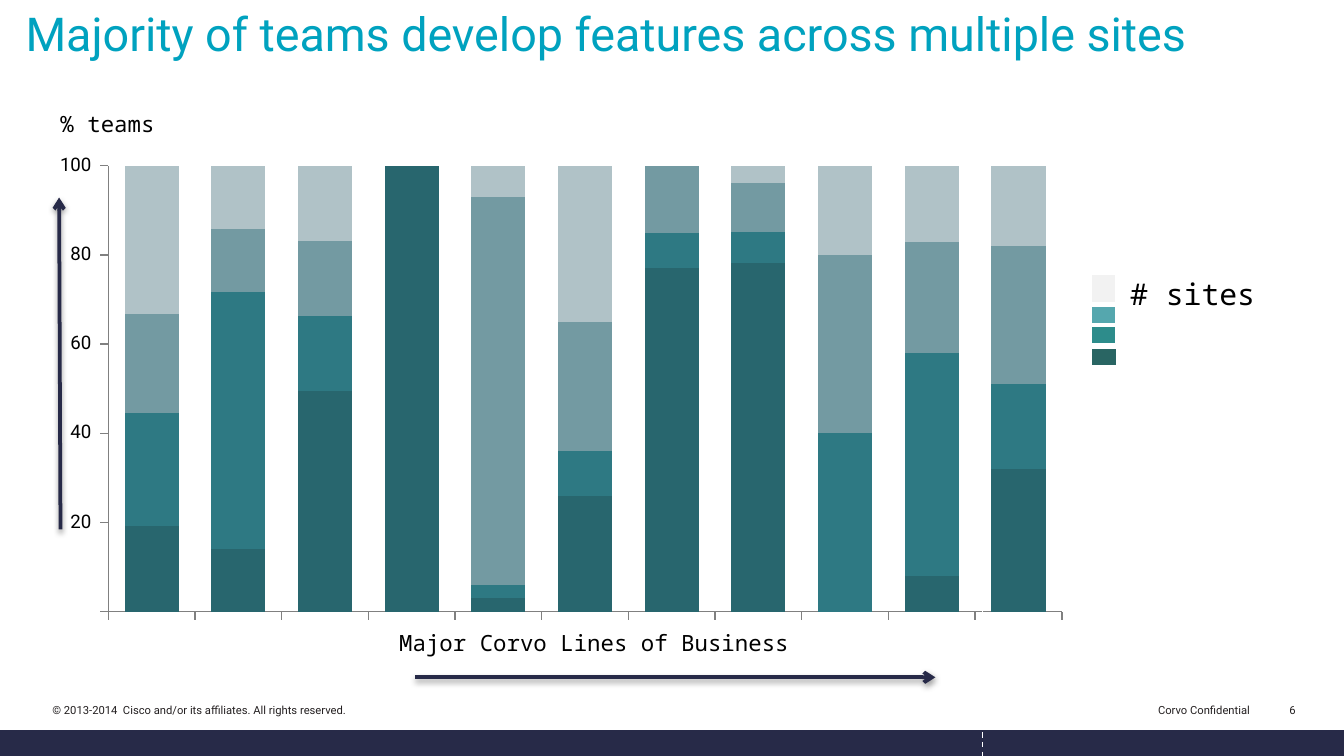
from collections import namedtuple
from dataclasses import dataclass

from lxml.etree import SubElement as Sub
from pptx import Presentation
from pptx.chart.data import CategoryChartData as Data
from pptx.dml.color import RGBColor as RGB
from pptx.enum.chart import XL_CHART_TYPE as Kind, XL_TICK_LABEL_POSITION as Pos
from pptx.enum.chart import XL_TICK_MARK as Tick
from pptx.enum.dml import MSO_LINE as Dash
from pptx.enum.shapes import MSO_CONNECTOR as Conn, MSO_SHAPE as Form
from pptx.enum.text import MSO_ANCHOR as Anchor, MSO_AUTO_SIZE as Fit, PP_ALIGN as Align
from pptx.oxml.ns import qn
from pptx.util import Inches, Pt

Box = namedtuple("Box", "x y w h")  # in grid cells
COLS, ROWS = 100, 56.25


@dataclass(frozen=True)
class Theme:
    sans: str = "Roboto"
    mono: str = "Noto Sans Mono"
    title: str = "00A2BF"
    ink: str = "000000"
    small: str = "231F20"
    navy: str = "272A48"
    white: str = "FFFFFF"
    axis: str = "808080"
    bars: tuple = ("28666E", "2E7983", "739AA2", "B0C2C7")
    head_pt: int = 25
    key_pt: int = 16
    label_pt: int = 12
    tick_pt: int = 10
    foot_pt: int = 6


T = Theme()
SITES = (
    (19, 14, 50, 100, 3, 26, 77, 79, 0, 8, 32),
    (25, 57, 17, 0, 3, 10, 8, 7, 40, 50, 19),
    (22, 14, 17, 0, 86, 29, 15, 11, 40, 25, 31),
    (33, 14, 17, 0, 7, 35, 0, 4, 20, 17, 18),
)


def cell(n):
    """Length of n grid cells."""
    return Inches(n * 10 / COLS)


def inner(box, x, y, w, h):
    """Box at an offset inside another."""
    return Box(box.x + x, box.y + y, w, h)


def write(frame, text, size, color, font=T.sans, align=Align.LEFT,
          anchor=Anchor.TOP, pad=(0, 0), wrap=False):
    frame.word_wrap, frame.auto_size = wrap, Fit.NONE
    frame.vertical_anchor = anchor
    frame.margin_left = frame.margin_right = cell(pad[0])
    frame.margin_top = frame.margin_bottom = cell(pad[1])
    para = frame.paragraphs[0]
    para.alignment = align
    run = para.add_run()
    run.text = text
    run.font.size, run.font.name = Pt(size), font
    run.font.color.rgb = RGB.from_string(color)
    return para


def label(slide, box, *args, **kw):
    shape = slide.shapes.add_textbox(*map(cell, box))
    write(shape.text_frame, *args, **kw)


def rule(slide, start, end, color, width):
    line = slide.shapes.add_connector(Conn.STRAIGHT, *map(cell, start + end))
    line.line.color.rgb = RGB.from_string(color)
    line.line.width = Pt(width)
    Sub(line._element.spPr, qn("a:effectLst"))
    return line


def arrow(slide, start, end):
    """Rule with an arrowhead and a soft shadow below it."""
    line = rule(slide, start, end, T.navy, 2)
    Sub(line.line._get_or_add_ln(), qn("a:tailEnd"), type="arrow")
    glow = line._element.spPr.find(qn("a:effectLst"))
    shade = Sub(glow, qn("a:outerShdw"), blurRad=str(Pt(3.1)), dist=str(Pt(1.6)),
                dir="5400000", rotWithShape="0")
    tint = Sub(shade, qn("a:srgbClr"), val=T.ink)
    Sub(tint, qn("a:alpha"), val="38000")


def heading(slide, box):
    title = slide.shapes.title
    title.left, title.top, title.width, title.height = map(cell, box)
    para = write(title.text_frame,
                 "Majority of teams develop features across multiple sites",
                 T.head_pt, T.title, pad=(1, 0.5), wrap=True)
    para.line_spacing = 0.9


def footer(slide, box):
    rule(slide, (box.x, box.y + 3.4), (box.x + box.w, box.y + 3.4), T.navy, 14)
    parts = (
        (3.2, 37.4, "© 2013-2014  Cisco and/or its affiliates. All rights reserved.",
         Align.LEFT),
        (85.6, 8.1, "Corvo Confidential", Align.RIGHT),
        (94.7, 2.4, "6", Align.RIGHT),
    )
    for x, w, text, align in parts:
        label(slide, inner(box, x, 0, w, 1.7), text, T.foot_pt, T.small,
              align=align, anchor=Anchor.BOTTOM, pad=(0.7, 0.3))


def inset(chart, shares):
    """Fix the inner plot area as percentages of the chart."""
    area = chart._chartSpace.chart.plotArea
    for old in area.findall(qn("c:layout")):
        area.remove(old)
    lay = Sub(area, qn("c:layout"))
    area.insert(0, lay)
    man = Sub(lay, qn("c:manualLayout"))
    Sub(man, qn("c:layoutTarget"), val="inner")
    for tag in ("xMode", "yMode"):
        Sub(man, qn("c:" + tag), val="edge")
    for tag, share in zip("xywh", shares):
        Sub(man, qn("c:" + tag), val=str(share / 100))


def bars(slide, box):
    """Stacked columns with their scale, axis names and arrows."""
    data = Data(number_format="0")
    data.categories = [str(n + 1) for n in range(len(SITES[0]))]
    for n, vals in enumerate(SITES, 1):
        data.add_series(f"Series {n}", vals)
    chart = slide.shapes.add_chart(
        Kind.COLUMN_STACKED_100, *map(cell, box), data).chart
    chart.has_legend = chart.has_title = False
    chart.font.name, chart.font.size = T.sans, Pt(18)
    chart.font.color.rgb = RGB.from_string(T.ink)
    plot = chart.plots[0]
    plot.gap_width, plot.overlap, plot.vary_by_categories = 60, 100, False
    for series, color in zip(plot.series, T.bars):
        series.format.fill.solid()
        series.format.fill.fore_color.rgb = RGB.from_string(color)
    for axis in (chart.category_axis, chart.value_axis):
        axis.has_major_gridlines = False
        axis.major_tick_mark, axis.minor_tick_mark = Tick.OUTSIDE, Tick.NONE
        axis.tick_label_position = Pos.NONE
        axis.format.line.color.rgb = RGB.from_string(T.axis)
        axis.format.line.width = Pt(0.75)
    scale = chart.value_axis
    scale.minimum_scale, scale.maximum_scale, scale.major_unit = 0, 1, 0.2
    scale.tick_labels.number_format = "0%"
    scale.tick_labels.number_format_is_linked = False
    shares = Box(2, 2.4, 97.2, 94.8)
    inset(chart, shares)

    for n in range(5):
        mid = box.h * (shares.y + shares.h * n / 5) / 100
        label(slide, inner(box, -2.1, mid - 1, 2.3, 1.7), str(100 - 20 * n),
              T.tick_pt, T.ink, align=Align.RIGHT, anchor=Anchor.MIDDLE)
    label(slide, inner(box, -2.1, -3.3, 26.5, 2), "% teams",
          T.label_pt, T.ink, T.mono, anchor=Anchor.BOTTOM)
    label(slide, inner(box, 23.1, 35.3, 52.5, 3.6), "Major Corvo Lines of Business",
          T.label_pt, T.ink, T.mono)
    split = rule(slide, (box.x + 66.5, box.y), (box.x + 66.5, ROWS), T.white, 0.75)
    split.line.dash_style = Dash.DASH
    arrow(slide, (box.x + 24.3, box.y + 38.9), (box.x + 63, box.y + 38.9))
    arrow(slide, (box.x - 2.1, box.y + 27.9), (box.x - 2.2, box.y + 3.2))


def key(slide, box):
    label(slide, inner(box, 2, -0.25, 12.8, 3.7), "# sites",
          T.key_pt, T.ink, T.mono, pad=(1, 0.5))
    swatches = ((5.5, 2.1, 1.5, "296563"), (0, 2, 2.3, "F2F2F2"),
                (3.2, 2, 2.2, "2D8C8B"), (2.4, 2, 1.5, "55A7AE"))
    for y, w, h, color in swatches:
        tile = slide.shapes.add_shape(
            Form.RECTANGLE, *map(cell, inner(box, 0, y, w, h)))
        tile.shadow.inherit = False
        tile.fill.solid()
        tile.fill.fore_color.rgb = RGB.from_string(color)
        tile.line.color.rgb = RGB.from_string(T.white)
        tile.line.width = Pt(2)


def main():
    deck = Presentation()
    deck.slide_width, deck.slide_height = cell(COLS), cell(ROWS)
    slide = deck.slides.add_slide(deck.slide_layouts[5])
    footer(slide, Box(0, 51.9, COLS, 4.3))
    heading(slide, Box(0.9, 0.3, 95, 9.1))
    bars(slide, Box(6.6, 11.5, 73, 35))
    key(slide, Box(81.1, 20.3, 14.8, 7))
    deck.save("out.pptx")


if __name__ == "__main__":
    main()
